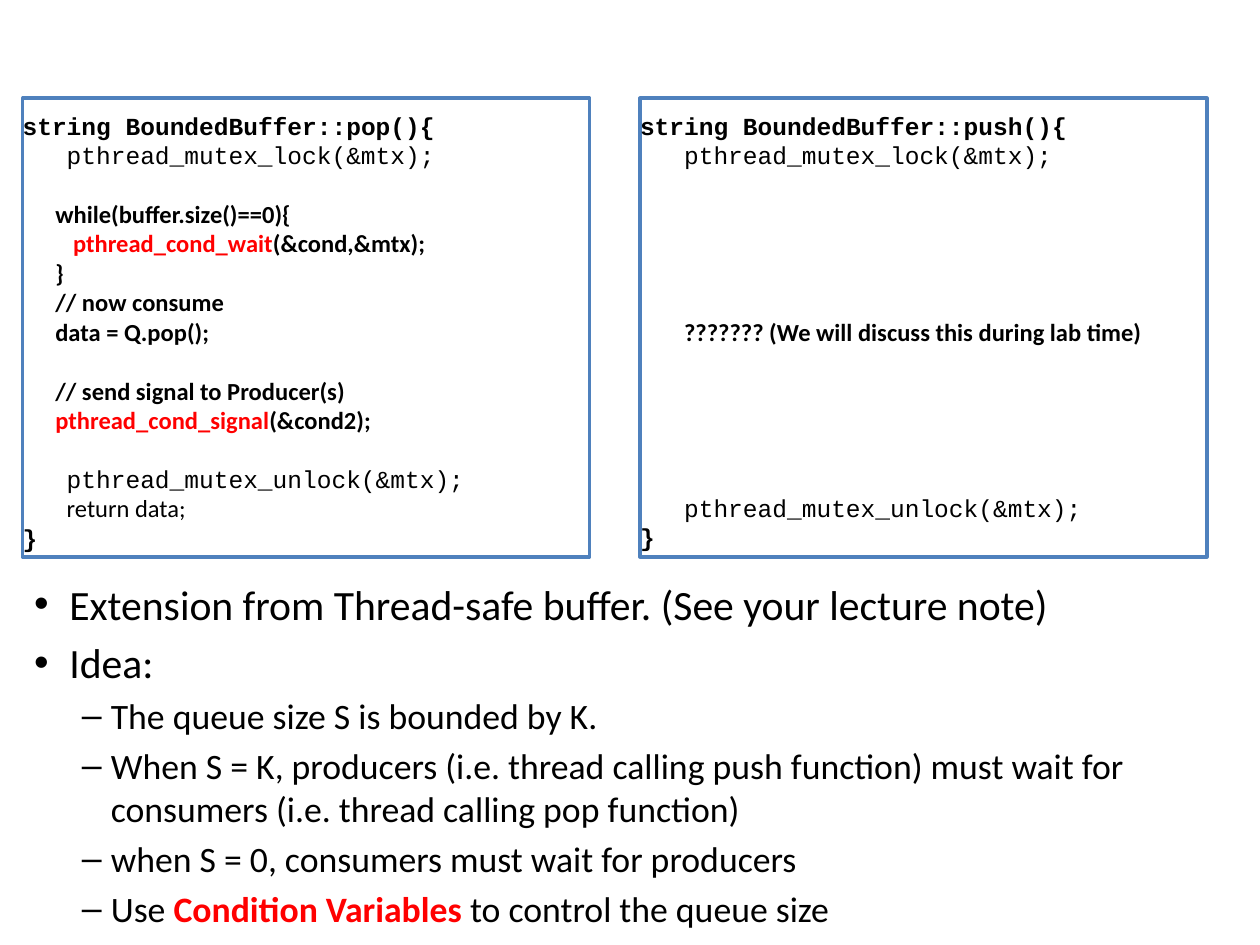
from pptx import Presentation
from pptx.dml.color import RGBColor
from pptx.enum.shapes import MSO_SHAPE
from pptx.enum.text import MSO_ANCHOR, MSO_AUTO_SIZE, PP_ALIGN
from pptx.util import Inches, Pt

RECT = MSO_SHAPE.RECTANGLE
TOP, LEFT, FIXED = MSO_ANCHOR.TOP, PP_ALIGN.LEFT, MSO_AUTO_SIZE.NONE

COLORS = {"text": "000000", "key": "FF0000", "fill": "FFFFFF", "edge": "4F81BD"}
SANS, MONO = "Calibri", "Courier New"

# Code lines: (row, indent in inches, font, bold, [(text, color), ...])
POP = [
    (0, 0, MONO, True, [("string BoundedBuffer::pop(){", "text")]),
    (1, 0.35, MONO, False, [("pthread_mutex_lock(&mtx);", "text")]),
    (3, 0.26, SANS, True, [("while(buffer.size()==0){", "text")]),
    (4, 0.4, SANS, True, [("pthread_cond_wait", "key"), ("(&cond,&mtx);", "text")]),
    (5, 0.26, SANS, True, [("}", "text")]),
    (6, 0.26, SANS, True, [("// now consume", "text")]),
    (7, 0.26, SANS, True, [("data = Q.pop();", "text")]),
    (9, 0.26, SANS, True, [("// send signal to Producer(s)", "text")]),
    (10, 0.26, SANS, True, [("pthread_cond_signal", "key"), ("(&cond2);", "text")]),
    (12, 0.35, MONO, False, [("pthread_mutex_unlock(&mtx);", "text")]),
    (13, 0.35, SANS, False, [("return data;", "text")]),
    (14, 0, MONO, True, [("}", "text")]),
]
PUSH = [
    (0, 0, MONO, True, [("string BoundedBuffer::push(){", "text")]),
    (1, 0.35, MONO, False, [("pthread_mutex_lock(&mtx);", "text")]),
    (7, 0.35, SANS, True, [("??????? (We will discuss this during lab time)", "text")]),
    (13, 0.35, MONO, False, [("pthread_mutex_unlock(&mtx);", "text")]),
    (14, 0, MONO, True, [("}", "text")]),
]

# Bullets: (level, [(text, color), ...])
NOTES = [
    (0, [("Extension from Thread-safe buffer. (See your lecture note)", "text")]),
    (0, [("Idea:", "text")]),
    (1, [("The queue size S is bounded by K.", "text")]),
    (1, [("When S = K, producers (i.e. thread calling push function) must wait for "
          "consumers (i.e. thread calling pop function)", "text")]),
    (1, [("when S = 0, consumers must wait for producers", "text")]),
    (1, [("Use ", "text"), ("Condition Variables", "key"),
         (" to control the queue size", "text")]),
]
# Per level: size, left margin, first-line indent
LEVELS = [(23.8, 0.28, -0.28), (20.4, 0.61, -0.23)]

BOX_X, BOX_Y, BOX_W, BOX_H = 0.18, 0.78, 4.5, 3.64
STEP = 4.9     # from one code box to the next
ROW = 16.8     # height of a code line in points


def rgb(name):
    return RGBColor.from_string(COLORS[name])


def add_par(frame, first, runs, font, size, margin, indent=0):
    par = frame.paragraphs[0] if first else frame.add_paragraph()
    par.font.name, par.font.size = font, Pt(size)
    props = par._p.get_or_add_pPr()
    props.set("marL", str(Inches(margin)))
    props.set("indent", str(Inches(indent)))
    for text, color in runs:
        run = par.add_run()
        run.text = text
        run.font.color.rgb = rgb(color)
        if color == "key":
            run.font.bold = True
    return par


def add_code(slide, col, lines):
    box = slide.shapes.add_shape(RECT, Inches(BOX_X + col * STEP), Inches(BOX_Y),
                                 Inches(BOX_W), Inches(BOX_H))
    box.shadow.inherit = False
    box.fill.solid()
    box.fill.fore_color.rgb = rgb("fill")
    box.line.color.rgb = rgb("edge")
    box.line.width = Pt(2)
    frame = box.text_frame
    frame.word_wrap = True
    frame.vertical_anchor = TOP
    frame.margin_left = frame.margin_right = frame.margin_bottom = 0
    frame.margin_top = Inches(0.1)
    last = -1
    for row, margin, font, bold, runs in lines:
        par = add_par(frame, row == 0, runs, font, 14, margin)
        par.font.bold = bold
        par.alignment = LEFT
        par.line_spacing = Pt(ROW)
        par.space_before = Pt(ROW * (row - last - 1))
        last = row


def main():
    prs = Presentation()
    prs.slide_width, prs.slide_height = Inches(10), Inches(7.5)
    slide = prs.slides.add_slide(prs.slide_layouts[1])
    title = slide.shapes.title._element
    title.getparent().remove(title)

    # Bullet list
    body = slide.placeholders[1]
    body.left, body.top = Inches(0.17), Inches(4.54)
    body.width, body.height = Inches(9.41), Inches(2.65)
    frame = body.text_frame
    frame.auto_size = FIXED
    for i, (level, runs) in enumerate(NOTES):
        size, margin, indent = LEVELS[level]
        par = add_par(frame, i == 0, runs, SANS, size, margin, indent)
        par.level = level

    # Code boxes
    for col, lines in enumerate((POP, PUSH)):
        add_code(slide, col, lines)

    prs.save("out.pptx")


if __name__ == "__main__":
    main()
